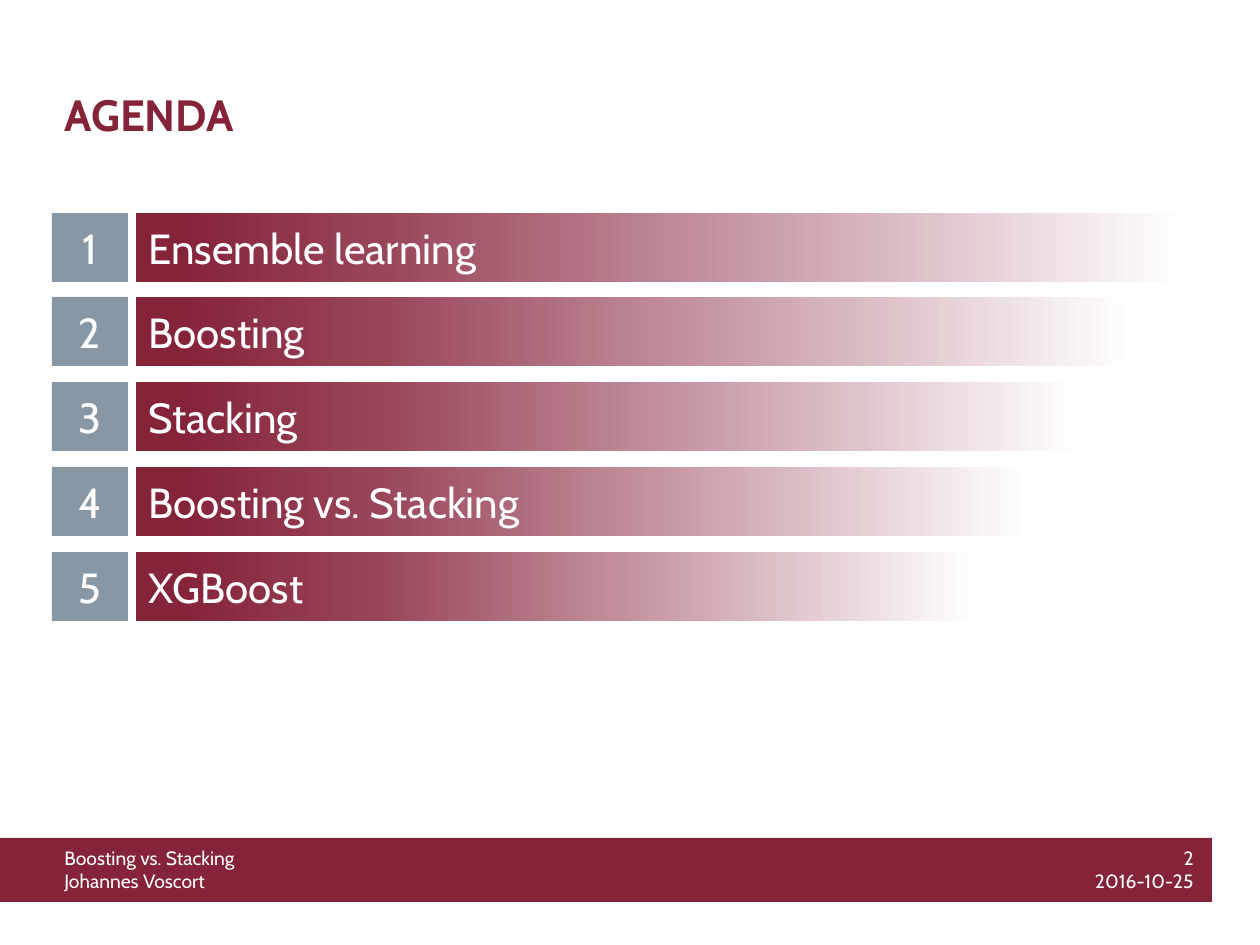
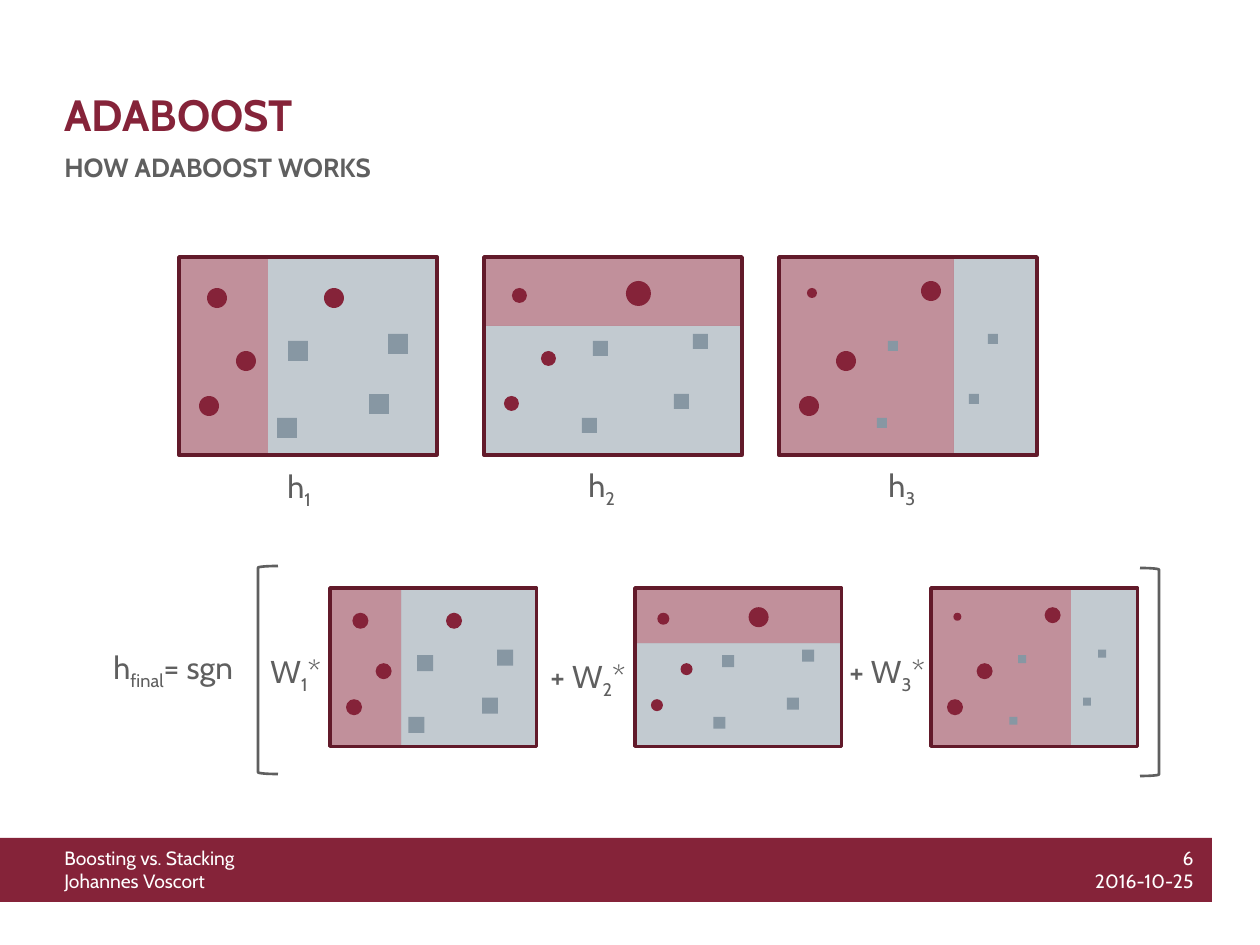
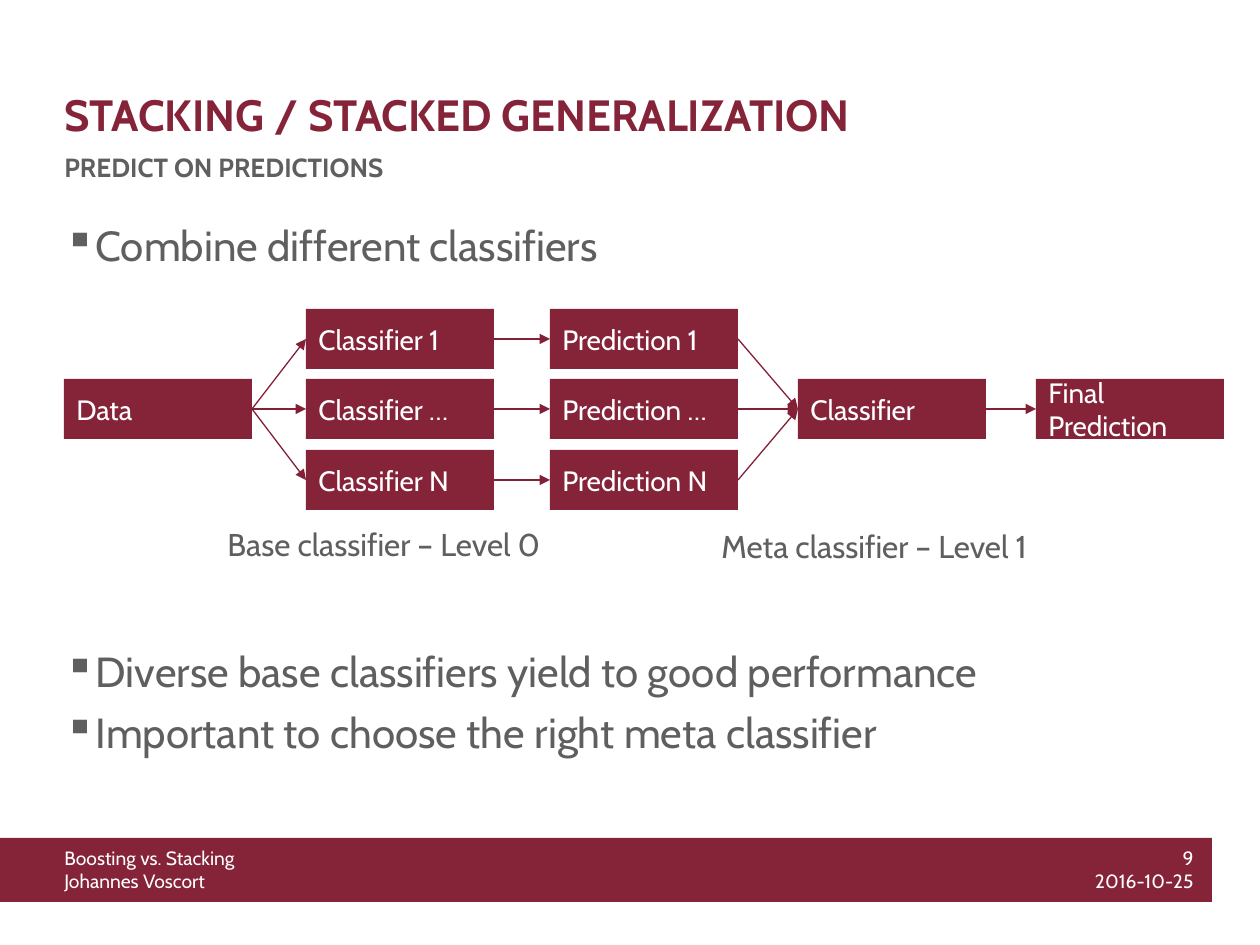
from pptx import Presentation
from pptx.dml.color import RGBColor
from pptx.enum.shapes import MSO_CONNECTOR as CONN, MSO_SHAPE as SHAPE
from pptx.enum.text import MSO_ANCHOR as ANCHOR, PP_ALIGN as ALIGN
from pptx.oxml import parse_xml
from pptx.oxml.ns import nsdecls, qn
from pptx.oxml.xmlchemy import OxmlElement
from pptx.util import Pt

FONT = "Cabin"
RED, DARK_RED, ARROW_RED, MID_RED = "852339", "621A2A", "842036", "994558"
STEEL, GREY, WHITE = "8797A3", "5F5F5F", "FFFFFF"

PANEL_W, PANEL_H = 258, 198
CIRCLES = [(28, 31), (20, 139), (57, 94)]
SQUARES = [(109, 84), (190, 137), (98, 161), (209, 77)]
PANELS = [
    {"red": (89, PANEL_H), "circles": (20, 20, 20), "last": (145, 31, 20), "square": 20},
    {"red": (PANEL_W, 69), "circles": (15, 15, 15), "last": (142, 24, 25), "square": 15},
    {"red": (175, PANEL_H), "circles": (10, 20, 20), "last": (142, 24, 20), "square": 10},
]


def px(n):
    return round(n * 914400 / 126)


def rgb(color):
    return RGBColor.from_string(color)


def child(parent, tag, **attrs):
    el = OxmlElement(tag)
    for key, value in attrs.items():
        el.set(key, value)
    parent.append(el)
    return el


def add_run(p, text, size, color, bold=False, base=0):
    r = p.add_run()
    r.text = text
    f = r.font
    f.name, f.size, f.bold = FONT, Pt(size), bold
    f.color.rgb = rgb(color)
    if base:
        r._r.get_or_add_rPr().set("baseline", str(base * 1000))


def add_text(sl, box, size, color=GREY, anchor=ANCHOR.TOP):
    tf = sl.shapes.add_textbox(*map(px, box)).text_frame
    tf.word_wrap = True
    tf.vertical_anchor = anchor
    return tf


def label(sl, box, text, size, color=GREY, bold=False, anchor=ANCHOR.TOP):
    p = add_text(sl, box, size, color, anchor).paragraphs[0]
    add_run(p, text, size, color, bold)


def formula(sl, box, *parts):
    p = add_text(sl, box, 18).paragraphs[0]
    for i, text in enumerate(parts):
        add_run(p, text, 18, GREY, base=-25 if i == 1 else 0)


def shape(sl, kind, box, fill=None, alpha=None, line=None, width=1):
    s = sl.shapes.add_shape(kind, *map(px, box))
    s.shadow.inherit = False
    if fill:
        s.fill.solid()
        s.fill.fore_color.rgb = rgb(fill)
        if alpha:
            clr = s._element.spPr.find(qn("a:solidFill"))[0]
            child(clr, "a:alpha", val=str(alpha * 1000))
    else:
        s.fill.background()
    if line:
        s.line.color.rgb = rgb(line)
        s.line.width = Pt(width)
    else:
        s.line.fill.background()
    return s


def block(sl, box, text, size, fill=RED, align=ALIGN.LEFT):
    s = shape(sl, SHAPE.RECTANGLE, box, fill)
    tf = s.text_frame
    tf.word_wrap = True
    tf.vertical_anchor = ANCHOR.MIDDLE
    p = tf.paragraphs[0]
    p.alignment = align
    add_run(p, text, size, WHITE)
    return s


def fade(s, start):
    s.fill.gradient()
    s.fill.gradient_angle = 180
    stops = "".join(
        f'<a:gs pos="{pos * 1000}"><a:srgbClr val="{color}"/></a:gs>'
        for pos, color in ((start, WHITE), (77, MID_RED), (96, RED)))
    grad = s._element.spPr.find(qn("a:gradFill"))
    grad.replace(grad.find(qn("a:gsLst")),
                 parse_xml(f'<a:gsLst {nsdecls("a")}>{stops}</a:gsLst>'))


def arrow(sl, start, end):
    (x1, y1, w, h), (x2, y2, _, h2) = start, end
    c = sl.shapes.add_connector(
        CONN.STRAIGHT, px(x1 + w), px(y1 + h / 2), px(x2), px(y2 + h2 / 2))
    c.line.color.rgb = rgb(ARROW_RED)
    c.line.width = Pt(0.75)
    sp = c._element.spPr
    child(sp.find(qn("a:ln")), "a:tailEnd", type="triangle")
    child(sp, "a:effectLst")


def bullets(sl, box, lines):
    tf = add_text(sl, box, 24)
    for i, text in enumerate(lines):
        p = tf.add_paragraph() if i else tf.paragraphs[0]
        p.space_before = Pt(6)
        pPr = p._p.get_or_add_pPr()
        pPr.set("marL", str(px(25)))
        pPr.set("indent", str(px(-25)))
        child(pPr, "a:buChar", char="▪")
        add_run(p, text, 24, GREY)


def footer(sl, number):
    shape(sl, SHAPE.RECTANGLE, (0, 838, 1212, 64), RED)
    for box, lines, align in (
            ((52, 840, 568, 59), ("Boosting vs. Stacking", "Johannes Voscort"), ALIGN.LEFT),
            ((1037, 840, 169, 59), (str(number), "2016-10-25"), ALIGN.RIGHT)):
        p = add_text(sl, box, 11, WHITE).paragraphs[0]
        p.alignment = align
        p.space_after = Pt(3)
        add_run(p, lines[0], 11, WHITE)
        p.add_line_break()
        add_run(p, lines[1], 11, WHITE)


def new_slide(prs, number, title, subtitle=None):
    sl = prs.slides.add_slide(prs.slide_layouts[6])
    footer(sl, number)
    label(sl, (52, 79, 896, 67), title, 25, RED, True, ANCHOR.BOTTOM)
    if subtitle:
        label(sl, (52, 145, 897, 39), subtitle, 15, GREY, True)
    return sl


def agenda(sl, x, y, topics):
    for i, topic in enumerate(topics):
        top = y + i * 339 // 4
        fade(block(sl, (x + 84, top, 1050, 69), topic, 24), 5 * i)
        block(sl, (x, top, 76, 69), str(i + 1), 24, STEEL, ALIGN.CENTER)


def panel(sl, x, y, k, data):
    def part(kind, left, top, w, h, *style, **more):
        shape(sl, kind, (x + k * left, y + k * top, k * w, k * h), *style, **more)

    w, h = data["red"]
    if w < PANEL_W:
        rest = (w, 0, PANEL_W - w, PANEL_H)
    else:
        rest = (0, h, PANEL_W, PANEL_H - h)
    part(SHAPE.RECTANGLE, *rest, STEEL, 50)
    part(SHAPE.RECTANGLE, 0, 0, w, h, RED, 50)
    part(SHAPE.RECTANGLE, 0, 0, PANEL_W, PANEL_H, line=DARK_RED, width=2)
    dots = [(*at, d) for at, d in zip(CIRCLES, data["circles"])]
    for left, top, d in dots + [data["last"]]:
        part(SHAPE.OVAL, left, top, d, d, RED)
    d = data["square"]
    for left, top in SQUARES:
        part(SHAPE.RECTANGLE, left, top, d, d, STEEL)


def weak_learners(sl, y):
    places = ((179, 275, 461), (484, 576, 460), (779, 876, 460))
    for i, (data, (x, label_x, label_y)) in enumerate(zip(PANELS, places), 1):
        panel(sl, x, y, 1, data)
        formula(sl, (label_x, label_y, 54, 50), "h", str(i))


def final_learner(sl, y):
    for x, data in zip((330, 635, 931), PANELS):
        panel(sl, x, y, 0.8, data)
    formula(sl, (101, y + 54, 158, 50), "h", "final", "= sgn")
    formula(sl, (258, y + 58, 81, 50), "W", "1", "*")
    formula(sl, (538, y + 63, 110, 50), "+ W", "2", "*")
    formula(sl, (837, y + 58, 101, 50), "+ W", "3", "*")
    shape(sl, SHAPE.LEFT_BRACKET, (258, y - 22, 20, 208), line=GREY, width=1.5)
    shape(sl, SHAPE.RIGHT_BRACKET, (1140, y - 20, 19, 208), line=GREY, width=1.5)


def stacking_flow(sl, x, y):
    def node(left, row, text):
        box = (x + left, y + row * 141 // 2, 188, 60)
        block(sl, box, text, 16)
        return box

    data = node(0, 1, "Data")
    meta = node(734, 1, "Classifier")
    final = node(972, 1, "Final Prediction")
    for row, name in enumerate(("1", "…", "N")):
        base = node(242, row, f"Classifier {name}")
        pred = node(486, row, f"Prediction {name}")
        arrow(sl, data, base)
        arrow(sl, base, pred)
        arrow(sl, pred, meta)
    arrow(sl, meta, final)
    label(sl, (x + 151, y + 210, 369, 50), "Base classifier – Level 0", 18)
    label(sl, (x + 645, y + 212, 364, 50), "Meta classifier – Level 1", 18)


def main():
    prs = Presentation()
    prs.slide_width, prs.slide_height = px(1260), px(945)

    sl = new_slide(prs, 2, "AGENDA")
    agenda(sl, 52, 213, ["Ensemble learning", "Boosting", "Stacking",
                         "Boosting vs. Stacking", "XGBoost"])

    sl = new_slide(prs, 6, "ADABOOST", "HOW ADABOOST WORKS")
    weak_learners(sl, 257)
    final_learner(sl, 588)

    sl = new_slide(prs, 9, "STACKING / STACKED GENERALIZATION", "PREDICT ON PREDICTIONS")
    bullets(sl, (52, 213, 1152, 83), ["Combine different classifiers"])
    stacking_flow(sl, 64, 309)
    bullets(sl, (52, 639, 1152, 169), ["Diverse base classifiers yield to good performance",
                                       "Important to choose the right meta classifier"])
    prs.save("out.pptx")


if __name__ == "__main__":
    main()
